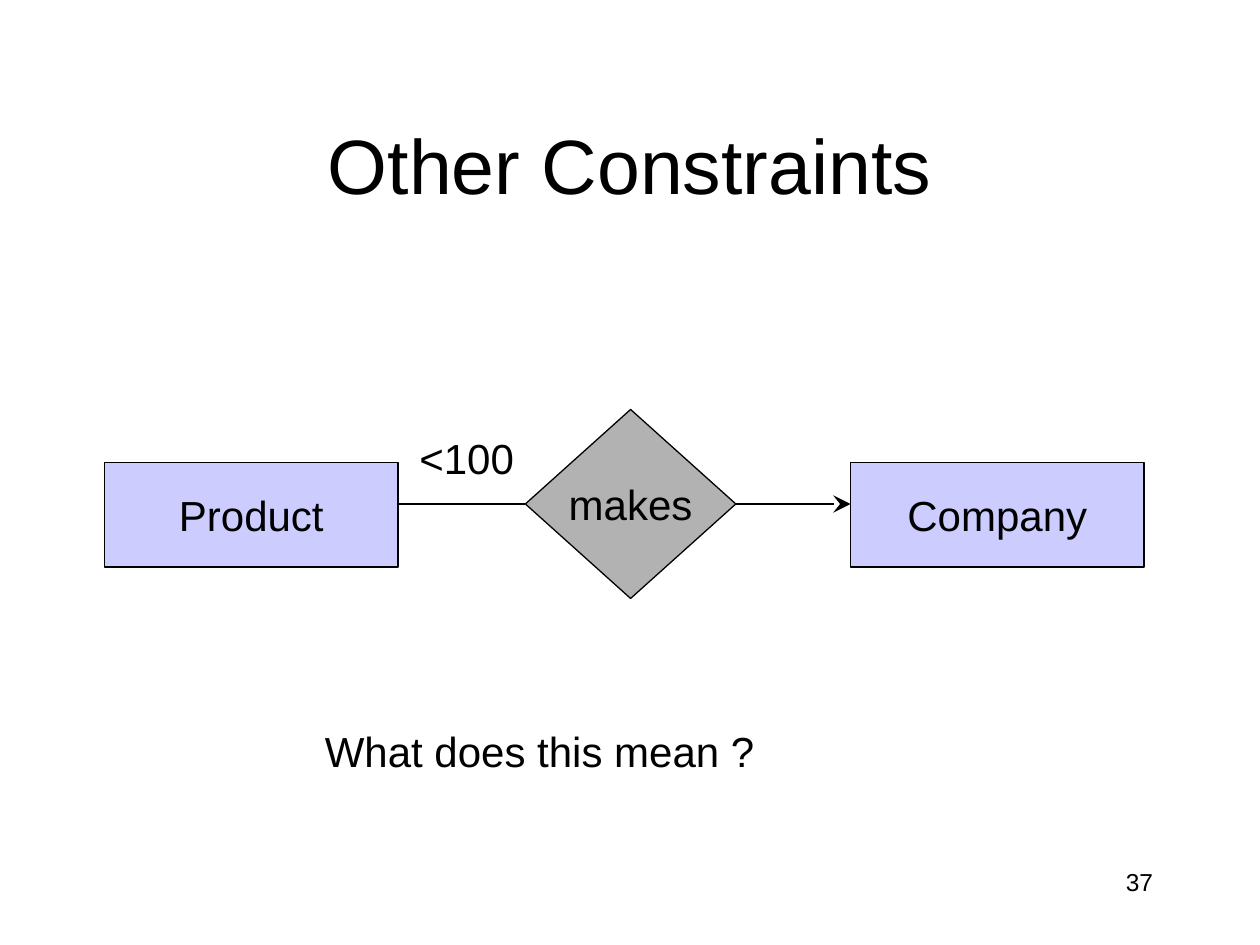
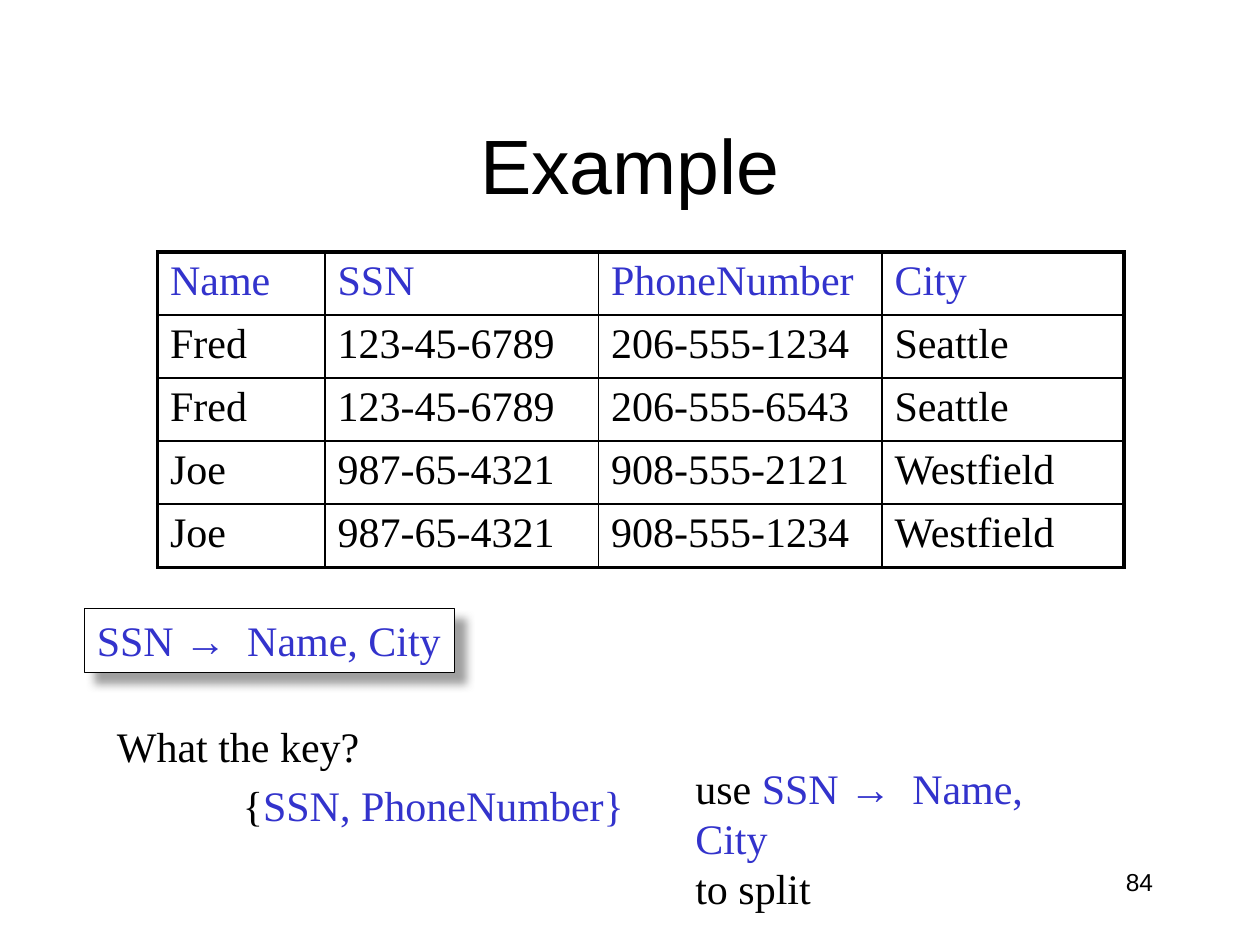
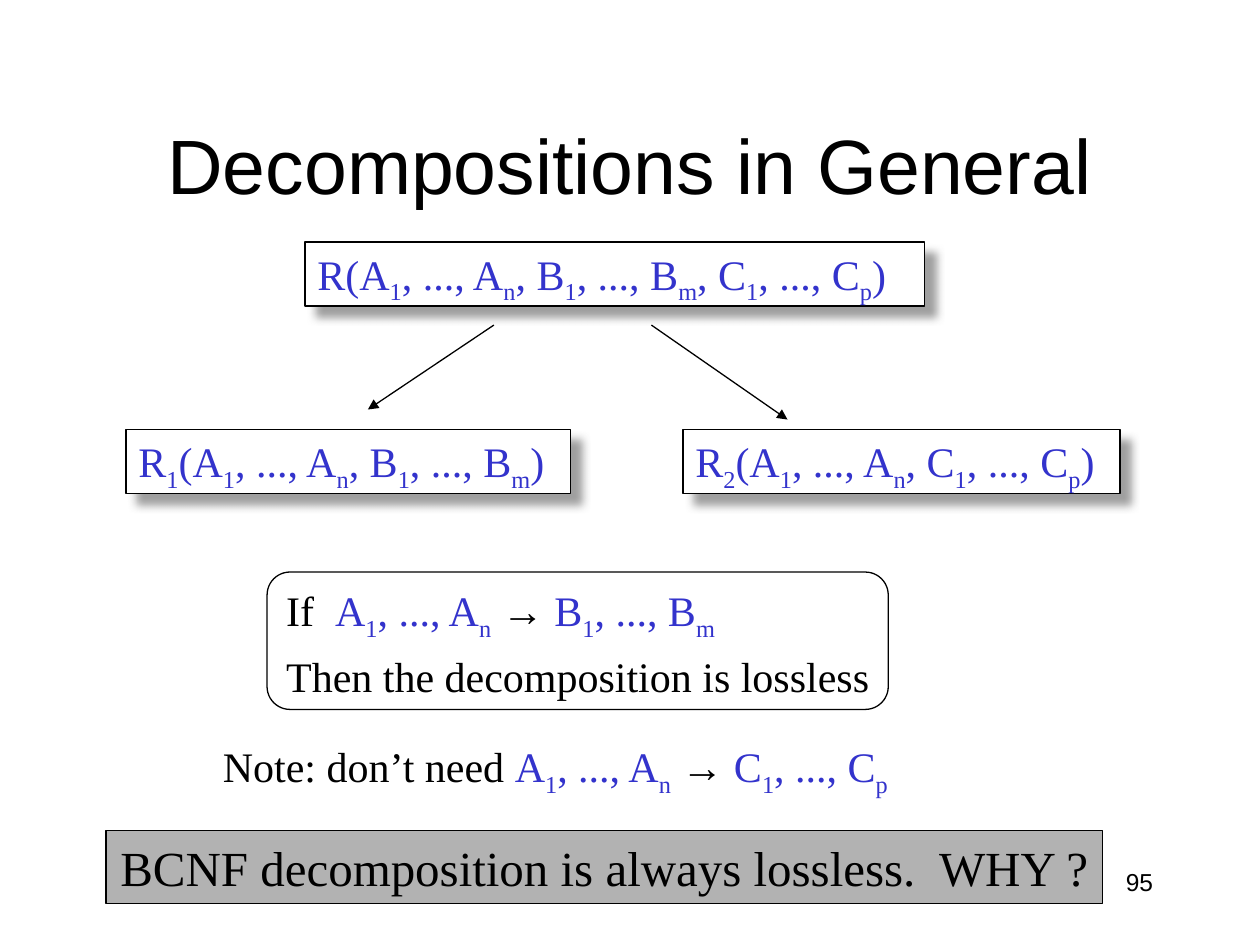
from itertools import accumulate
from lxml.etree import SubElement
from pptx import Presentation
from pptx.dml.color import RGBColor
from pptx.enum.shapes import MSO_CONNECTOR, MSO_SHAPE
from pptx.enum.text import MSO_ANCHOR, PP_ALIGN
from pptx.oxml import parse_xml
from pptx.oxml.ns import nsdecls, qn
from pptx.util import Inches, Pt

# Shared look
INK, BLUE, LILAC, GREY, WHITE = "000000", "3333CC", "CCCCFF", "B2B2B2", "FFFFFF"
SANS, SERIF = "Arial", "Times New Roman"
ALIGN = {"l": PP_ALIGN.LEFT, "c": PP_ALIGN.CENTER, "r": PP_ALIGN.RIGHT}
PAD = {"l": (0.1, 0), "c": (0, 0), "r": (0, 0.1)}
TITLE = (0.75, 0.67, 8.5, 1.25)
NUMBER = (7.17, 6.83, 2.08, 0.5)

# Content: *...* is blue, _x sets x as a subscript
TITLES = [("Other Constraints", 37), ("Example", 84), ("Decompositions in General", 95)]

ENTITIES = [("Company", 6.75), ("Product", 0.83)]
LABELS = [("<100", (3.23, 3.38, 0.95, 0.5)),
          ("What does this mean ?", (2.48, 5.71, 3.61, 0.5))]

PEOPLE = [
    ("Name", "SSN", "PhoneNumber", "City"),
    ("Fred", "123-45-6789", "206-555-1234", "Seattle"),
    ("Fred", "123-45-6789", "206-555-6543", "Seattle"),
    ("Joe", "987-65-4321", "908-555-2121", "Westfield"),
    ("Joe", "987-65-4321", "908-555-1234", "Westfield"),
]
WIDTHS = [1.33, 2.17, 2.25, 1.92]
ROW = 0.5
RULE = ("*SSN →  Name, City*", (0.67, 4.83, 2.94, 0.51))
KEY = ["What the key?", "\t{*SSN, PhoneNumber}*"]
SPLIT = ["use *SSN →  Name, City*\nto split"]

RELATIONS = [
    ("*R(A_1, ..., A_n, B_1, ..., B_m, C_1, ..., C_p)*", (2.42, 1.92, 4.92, 0.51)),
    ("*R_1(A_1, ..., A_n, B_1, ..., B_m)*", (1, 3.41, 3.53, 0.51)),
    ("*R_2(A_1, ..., A_n, C_1, ..., C_p)*", (5.42, 3.41, 3.47, 0.51)),
]
ARROWS = [((3.92, 2.58), (2.92, 3.25)), ((5.17, 2.58), (6.25, 3.33))]
LOSSLESS = ["If  *A_1, ..., A_n *→ *B_1, ..., B_m*",
            "Then the decomposition is lossless"]
NOTE = ["Note: don’t need *A_1, ..., A_n *→ *C_1, ..., C_p*"]
WHY = ["BCNF decomposition is always lossless.  WHY ?"]


def rgb(code):
    return RGBColor.from_string(code)


def style(font, **form):
    for name, value in form.items():
        if name == "color":
            font.color.rgb = rgb(value)
        else:
            setattr(font, name, value)


def add_run(para, text, low=False, **form):
    if text.startswith("\n"):
        para.add_line_break()
        text = text[1:]
    if text:
        run = para.add_run()
        run.text = text
        style(run.font, **form)
        if low:
            run._r.get_or_add_rPr().set("baseline", "-25000")


def add_tab(para, stop):
    tabs = SubElement(para._p.get_or_add_pPr(), qn("a:tabLst"))
    SubElement(tabs, qn("a:tab"), pos=str(Inches(stop)), algn="l")


def write(frame, lines, size=24, face=SERIF, align="l", anchor=MSO_ANCHOR.TOP,
          right=None, wrap=True):
    left, end = PAD[align]
    form = {"word_wrap": wrap, "vertical_anchor": anchor, "margin_left": Inches(left),
            "margin_right": Inches(end if right is None else right),
            "margin_top": Inches(0.05), "margin_bottom": Inches(0.05)}
    for name, value in form.items():
        setattr(frame, name, value)
    for i, line in enumerate(lines):
        para = frame.add_paragraph() if i else frame.paragraphs[0]
        para.alignment = ALIGN[align]
        if i:
            para.space_before = Pt(0.2 * size)
        if "\t" in line:
            add_tab(para, 1)
        for j, part in enumerate(line.split("*")):
            form = {"size": Pt(size), "name": face, "color": BLUE if j % 2 else INK}
            first, *rest = part.split("_")
            add_run(para, first, **form)
            for piece in rest:
                add_run(para, piece[0], low=True, **form)
                add_run(para, piece[1:], **form)


def add_text(slide, lines, spot, **form):
    box = slide.shapes.add_textbox(*map(Inches, spot))
    write(box.text_frame, lines, **form)


def add_box(slide, lines, spot, fill=WHITE, kind=MSO_SHAPE.RECTANGLE, **form):
    box = slide.shapes.add_shape(kind, *map(Inches, spot))
    box.shadow.inherit = False
    box.fill.solid()
    box.fill.fore_color.rgb = rgb(fill)
    box.line.color.rgb = rgb(INK)
    box.line.width = Pt(0.75)
    write(box.text_frame, lines, **form)
    return box


def add_card(slide, text, spot):
    """White box with a soft drop shadow."""
    card = add_box(slide, [text], spot)
    glow = card._element.spPr.find(qn("a:effectLst"))
    glow.append(parse_xml(
        f'<a:outerShdw {nsdecls("a")} blurRad="{Pt(5)}" dist="{Pt(8.5)}" dir="2700000" '
        'algn="tl" rotWithShape="0"><a:srgbClr val="808080"><a:alpha val="75000"/>'
        '</a:srgbClr></a:outerShdw>'))


def add_line(slide, start, end, head=None, size="med"):
    line = slide.shapes.add_connector(MSO_CONNECTOR.STRAIGHT, *map(Inches, start + end))
    line.line.color.rgb = rgb(INK)
    line.line.width = Pt(0.75)
    if head:
        SubElement(line.line._get_or_add_ln(), qn("a:tailEnd"), type=head, w=size, len=size)
    SubElement(line._element.spPr, qn("a:effectLst"))
    return line


def add_edge(cell, tag, width):
    cell._tc.get_or_add_tcPr().append(parse_xml(
        f'<a:{tag} {nsdecls("a")} w="{Pt(width)}"><a:solidFill>'
        f'<a:srgbClr val="{INK}"/></a:solidFill></a:{tag}>'))


def add_grid(slide, rows, left, top):
    """Table with thin inner rules and a thick frame."""
    high, wide = len(rows), len(WIDTHS)
    spot = (left, top, sum(WIDTHS), ROW * high)
    table = slide.shapes.add_table(high, wide, *map(Inches, spot)).table
    table.first_row = table.horz_banding = False
    marks = [0, *accumulate(WIDTHS)]
    for col, (start, end) in zip(table.columns, zip(marks, marks[1:])):
        col.width = Inches(end) - Inches(start)
    for r, row in enumerate(rows):
        table.rows[r].height = Inches(ROW)
        for c, text in enumerate(row):
            cell = table.cell(r, c)
            write(cell.text_frame, [text if r else f"*{text}*"])
            cell.margin_left, cell.margin_right = Inches(0.1), Inches(0)
            outer = {"lnL": c == 0, "lnR": c == wide - 1, "lnT": r == 0, "lnB": r == high - 1}
            for tag, thick in outer.items():
                add_edge(cell, tag, 2.25 if thick else 1)
            cell.fill.background()


def add_page(deck, title, number):
    slide = deck.slides.add_slide(deck.slide_layouts[6])
    add_text(slide, [str(number)], NUMBER, size=14, face=SANS, align="r")
    add_text(slide, [title], TITLE, size=44, face=SANS, align="c", anchor=MSO_ANCHOR.MIDDLE)
    return slide


def main():
    deck = Presentation()
    deck.slide_width, deck.slide_height = Inches(10), Inches(7.5)
    other, sample, general = [add_page(deck, *item) for item in TITLES]
    mid = {"align": "c", "anchor": MSO_ANCHOR.MIDDLE, "wrap": False}

    # Other Constraints: entities, relationship and its two links
    for name, left in ENTITIES:
        add_box(other, [name], (left, 3.67, 2.33, 0.83), LILAC, face=SANS, **mid)
    makes = add_box(other, ["makes"], (4.17, 3.25, 1.67, 1.5), GREY,
                    MSO_SHAPE.DIAMOND, face=SANS, **mid)
    add_line(other, (4.17, 4), (3.17, 4)).begin_connect(makes, 1)
    add_line(other, (5.83, 4), (6.75, 4), "stealth", "lg").begin_connect(makes, 3)
    for text, spot in LABELS:
        add_text(other, [text], spot, face=SANS)

    # Example: table, dependency and key
    add_text(sample, KEY, (0.83, 5.67, 4.23, 0.98))
    add_grid(sample, PEOPLE, 1.25, 2)
    add_card(sample, *RULE)
    add_text(sample, SPLIT, (5.42, 6, 3.45, 0.9), right=0.1)

    # Decompositions: relation split in two, then the condition
    for text, spot in RELATIONS:
        add_card(general, text, spot)
    add_box(general, LOSSLESS, (2.12, 4.54, 4.93, 1.09), kind=MSO_SHAPE.ROUNDED_RECTANGLE)
    for start, end in ARROWS:
        add_line(general, start, end, "triangle")
    add_box(general, WHY, (0.84, 6.59, 7.91, 0.58), GREY, size=28, **mid)
    add_text(general, NOTE, (1.67, 5.83, 5.56, 0.5))

    deck.save("out.pptx")


if __name__ == "__main__":
    main()
